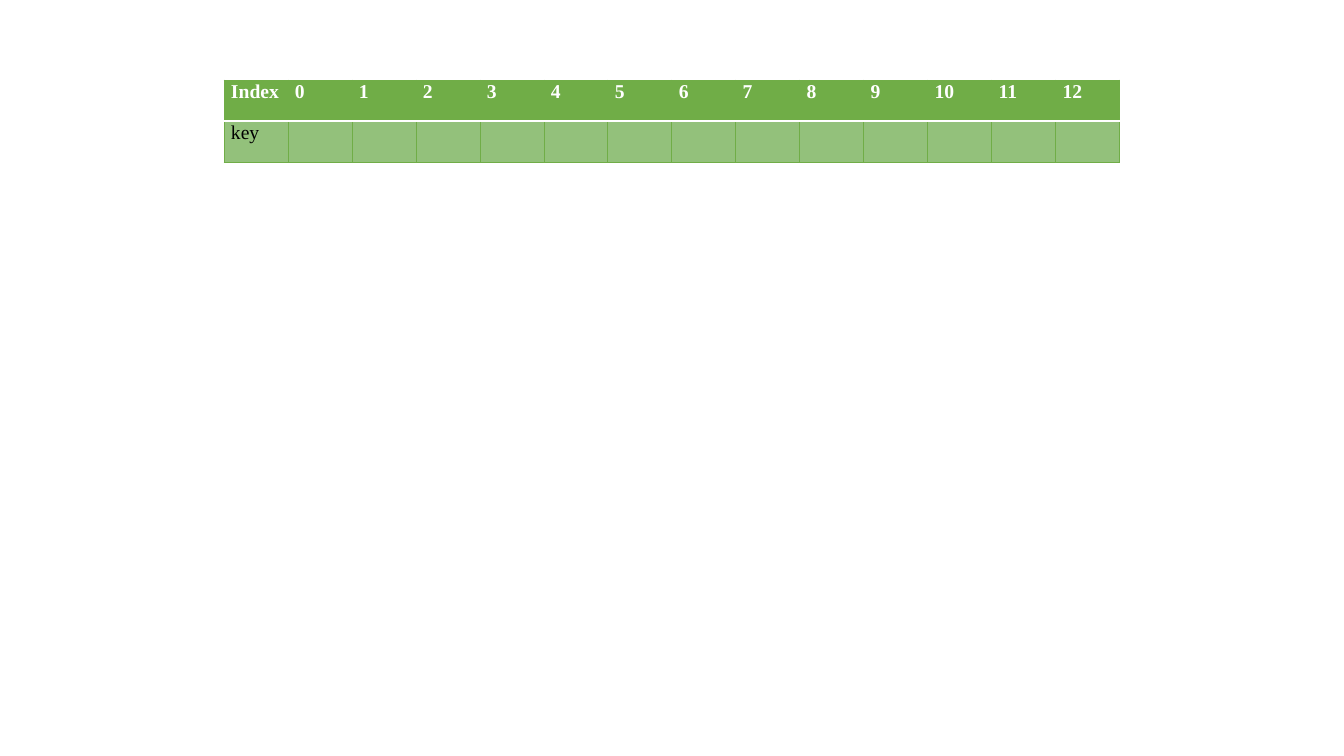
import pptx
import pptx.dml.color
import pptx.oxml
import pptx.oxml.ns
import pptx.util

SLOTS = 13
HEADINGS = ["Index"] + [str(slot) for slot in range(SLOTS)]
KEYS = ["key"] + [""] * SLOTS

GREEN, LIGHT_GREEN, WHITE, BLACK = "70AD47", "93C17B", "FFFFFF", "000000"
FONT = "Times New Roman"

SLIDE_WIDTH, SLIDE_HEIGHT = 1344, 756
TABLE_LEFT, TABLE_TOP = 224, 80
COLUMN_WIDTH, ROW_HEIGHT = 64, 41
CELL_INSET = 7


def px(length):
    return pptx.util.Emu(round(length * 914400 / 100.8))


def rgb(colour):
    return pptx.dml.color.RGBColor.from_string(colour)


def write(frame, text, *, size=14, colour=BLACK, bold=False):
    paragraph = frame.paragraphs[0]
    paragraph.line_spacing = 1.07
    paragraph.font.size = pptx.util.Pt(size)
    if text:
        run = paragraph.add_run()
        run.text = text
        run.font.name = FONT
        run.font.size = pptx.util.Pt(size)
        run.font.bold = bold
        run.font.color.rgb = rgb(colour)


def set_borders(cell, borders):
    """Draw the sides L, R, T and B, each given as (colour, points)."""
    properties = cell._tc.get_or_add_tcPr()
    for position, side in enumerate("LRTB"):
        colour, points = borders[side]
        line = pptx.oxml.parse_xml(
            f'<a:ln{side} {pptx.oxml.ns.nsdecls("a")} w="{pptx.util.Pt(points)}">'
            f'<a:solidFill><a:srgbClr val="{colour}"/></a:solidFill></a:ln{side}>'
        )
        properties.insert(position, line)


def fill_row(table, row, texts, fill, borders, **text_format):
    table.rows[row].height = px(ROW_HEIGHT)
    for column, text in enumerate(texts):
        cell = table.cell(row, column)
        cell.margin_left = cell.margin_right = px(CELL_INSET)
        cell.margin_top = cell.margin_bottom = 0
        cell.fill.solid()
        cell.fill.fore_color.rgb = rgb(fill)
        set_borders(cell, borders)
        write(cell.text_frame, text, **text_format)


def main():
    presentation = pptx.Presentation()
    presentation.slide_width = px(SLIDE_WIDTH)
    presentation.slide_height = px(SLIDE_HEIGHT)
    slide = presentation.slides.add_slide(presentation.slide_layouts[6])

    hash_table = slide.shapes.add_table(
        2, len(HEADINGS), px(TABLE_LEFT), px(TABLE_TOP),
        px(COLUMN_WIDTH * len(HEADINGS)), px(ROW_HEIGHT * 2),
    ).table
    hash_table.first_row = hash_table.horz_banding = False
    for column in hash_table.columns:
        column.width = px(COLUMN_WIDTH)

    outline = dict.fromkeys("LRTB", (GREEN, 0.5))
    divider = (WHITE, 1)
    fill_row(hash_table, 0, HEADINGS, GREEN, outline | {"B": divider},
             colour=WHITE, bold=True)
    fill_row(hash_table, 1, KEYS, LIGHT_GREEN, outline | {"T": divider})

    presentation.save("out.pptx")


if __name__ == "__main__":
    main()
